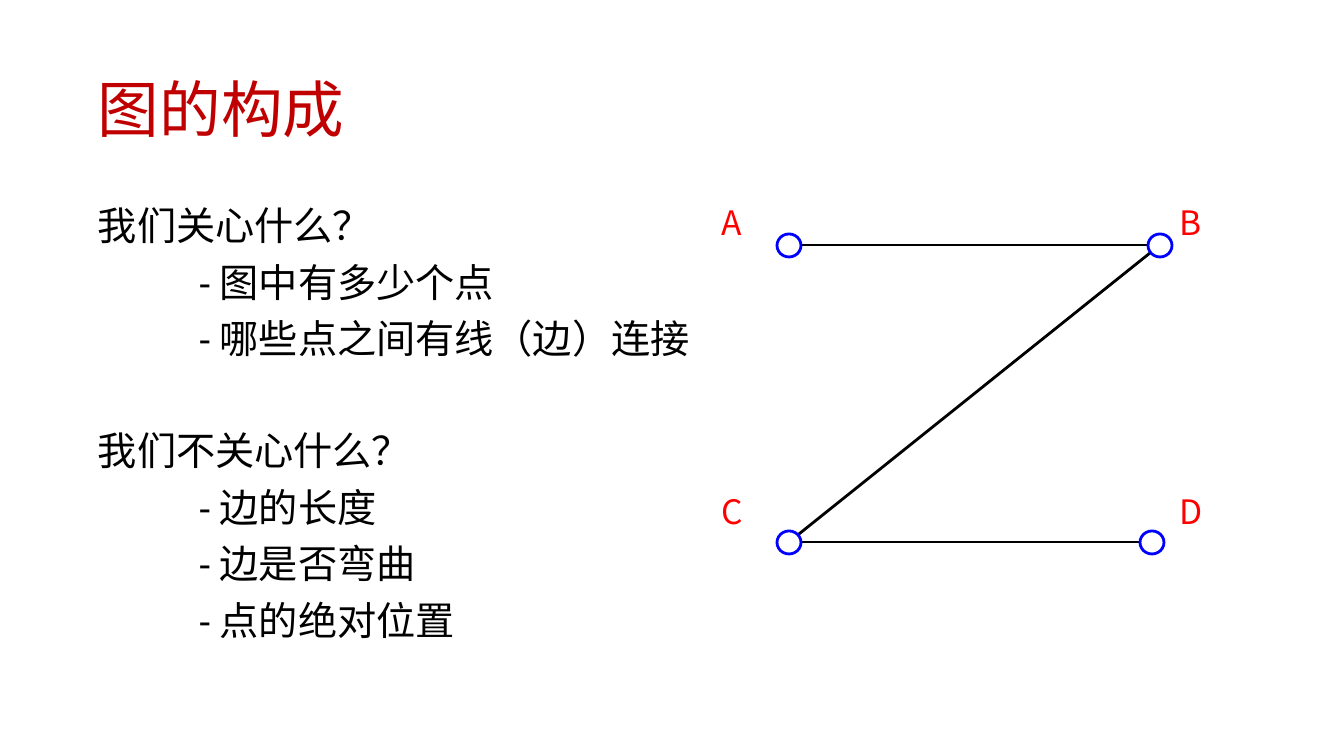
"""Build the slide on what makes up a graph, with a four-node example."""
from lxml.etree import SubElement
from pptx import Presentation
from pptx.dml.color import RGBColor
from pptx.enum.shapes import MSO_CONNECTOR as LINK, MSO_SHAPE as SHAPE
from pptx.enum.text import MSO_ANCHOR as ANCHOR, PP_ALIGN as ALIGN
from pptx.oxml.ns import qn
from pptx.util import Pt

PX = 914400 / 100.8


def px(*nums):
    return [round(num * PX) for num in nums]


def text(box, rows, size, color, font="Calibri", inset=5, anchor=ANCHOR.TOP,
         align=ALIGN.LEFT, line=0.9):
    frame = slide.shapes.add_textbox(*px(*box)).text_frame
    frame.word_wrap = True
    frame.vertical_anchor = anchor
    frame.margin_left = frame.margin_right = round(inset * PX)
    frame.margin_top = frame.margin_bottom = round(inset * PX)
    for num, (words, indent, gap) in enumerate(rows):
        para = frame.paragraphs[0] if num == 0 else frame.add_paragraph()
        para._p.get_or_add_pPr().set("marL", str(round(indent * PX)))
        para.alignment = align
        para.line_spacing = line
        para.space_before = Pt(gap)
        run = para.add_run()
        run.text = words
        run.font.size = Pt(size)
        run.font.name = font
        run.font.color.rgb = RGBColor.from_string(color)


deck = Presentation()
deck.slide_width, deck.slide_height = px(1344, 756)
slide = deck.slides.add_slide(deck.slide_layouts[6])

text((93, 40, 1159, 146), [("图的构成", 0, 0)], 44, "C00000",
     anchor=ANCHOR.MIDDLE)

topics = [
    ("我们关心什么？", ["图中有多少个点", "哪些点之间有线（边）连接"]),
    ("我们不关心什么？", ["边的长度", "边是否弯曲", "点的绝对位置"]),
]
rows = []
for head, items in topics:
    rows.append((head, 0, 50 if rows else 0))
    rows += [("- " + item, 101, 10) for item in items]
text((93, 202, 1159, 480), rows, 28, "000000")

nodes = {"A": (789, 245), "B": (1160, 245), "C": (789, 542), "D": (1152, 542)}
tags = {"A": (722, 202), "B": (1180, 202), "C": (722, 491), "D": (1180, 491)}

for start, end in ("AB", "CD", "BC"):
    edge = slide.shapes.add_connector(
        LINK.STRAIGHT, *px(*nodes[start], *nodes[end]))
    edge.line.color.rgb = RGBColor.from_string("000000")
    edge.line.width = Pt(2)
    SubElement(edge._element.spPr, qn("a:effectLst"))

for name, (x, y) in nodes.items():
    node = slide.shapes.add_shape(SHAPE.OVAL, *px(x - 12, y - 11, 24, 23))
    node.shadow.inherit = False
    node.fill.solid()
    node.fill.fore_color.rgb = RGBColor.from_string("FFFFFF")
    node.line.color.rgb = RGBColor.from_string("0000FF")
    node.line.width = Pt(2)
    text((*tags[name], 25, 79), [(name, 0, 0)], 24, "FF0000",
         font="Noto Sans CJK SC", inset=0, align=ALIGN.JUSTIFY, line=1.0)

deck.save("out.pptx")
